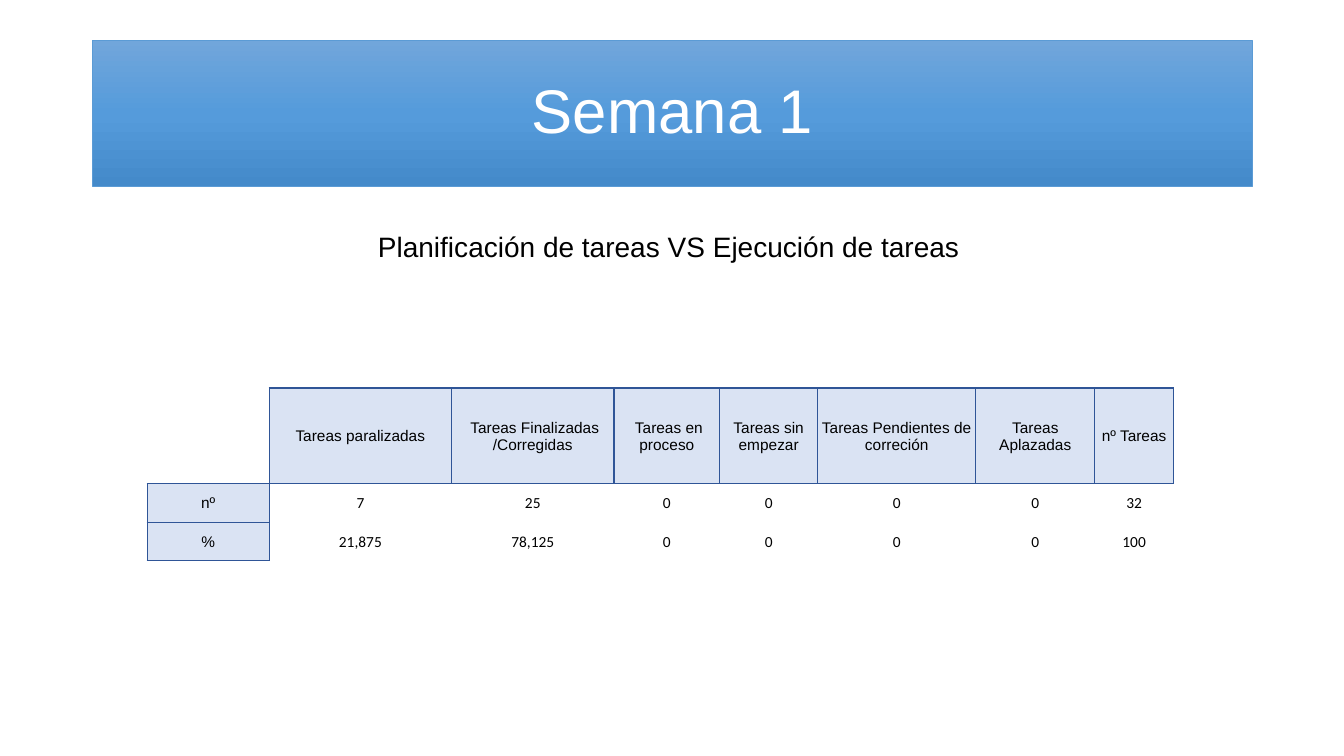
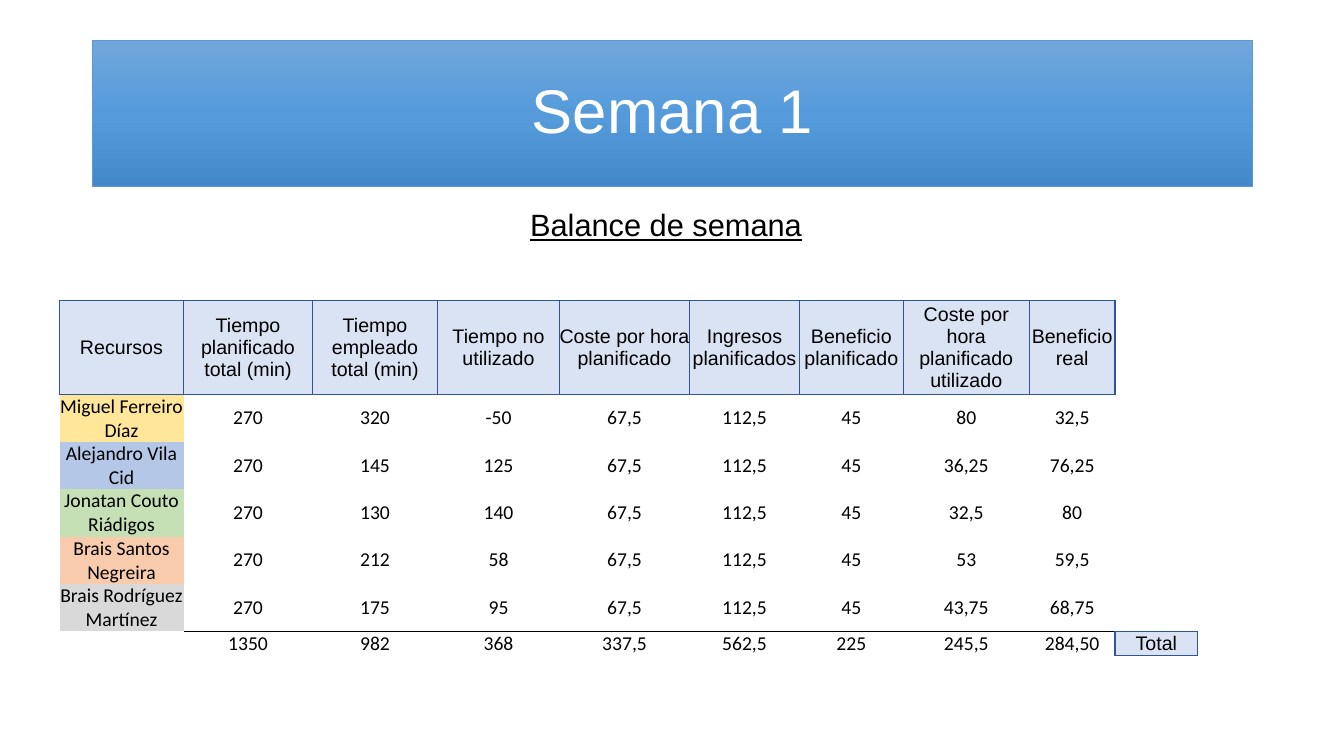
import copy

import pptx
import pptx.util
import pptx.dml.color
import pptx.enum.shapes
import pptx.enum.text
import pptx.oxml.ns
from lxml import etree

Inches, Pt = pptx.util.Inches, pptx.util.Pt
RGBColor = pptx.dml.color.RGBColor
qn = pptx.oxml.ns.qn
MIDDLE = pptx.enum.text.MSO_ANCHOR.MIDDLE
CENTER = pptx.enum.text.PP_ALIGN.CENTER

# Shared look
WHITE = RGBColor(0xFF, 0xFF, 0xFF)
BLACK = RGBColor(0x00, 0x00, 0x00)
BAND_LINE = RGBColor(0x5B, 0x9B, 0xD5)
BAND_STOPS = [
    (0, RGBColor(0x71, 0xA6, 0xDB)),
    (0.5, RGBColor(0x55, 0x9B, 0xDB)),
    (1, RGBColor(0x44, 0x8A, 0xCA)),
]
LABEL_FILL = RGBColor(0xDA, 0xE3, 0xF3)
LABEL_LINE = RGBColor(0x2F, 0x55, 0x97)
YELLOW = RGBColor(0xFF, 0xE6, 0x99)
BLUE = RGBColor(0xB4, 0xC7, 0xE7)
GREEN = RGBColor(0xC5, 0xE0, 0xB4)
ORANGE = RGBColor(0xF8, 0xCB, 0xAD)
GRAY = RGBColor(0xD9, 0xD9, 0xD9)
LABEL_FONT, VALUE_FONT = "Arial", "Calibri"

# Content: "labels" are the outlined cells, "fills" the other coloured ones,
# and "total_row" has a thin rule above its values
TITLE = "Semana 1"

TASKS = {
    "subtitle": "Planificación de tareas VS Ejecución de tareas",
    "subtitle_box": (3.65, 2.23, 6.04, 0.44),
    "subtitle_size": 20,
    "underline": False,
    "origin": (1.46, 3.85),
    "columns": [1.21, 1.81, 1.61, 1.05, 0.97, 1.57, 1.18, 0.78],
    "rows": [0.95, 0.38, 0.38],
    "size": 11,
    "inset": 0.01,
    "cells": [
        ["", "Tareas paralizadas", " Tareas Finalizadas /Corregidas",
         " Tareas en proceso", "Tareas sin empezar",
         "Tareas Pendientes de correción", "Tareas Aplazadas", "nº Tareas"],
        ["nº", "7", "25", "0", "0", "0", "0", "32"],
        ["%", "21,875", "78,125", "0", "0", "0", "0", "100"],
    ],
    "labels": {(0, column) for column in range(1, 8)} | {(1, 0), (2, 0)},
    "fills": {},
    "total_row": None,
}

BALANCE = {
    "subtitle": "Balance de semana",
    "subtitle_box": (5.16, 1.99, 2.93, 0.47),
    "subtitle_size": 22,
    "underline": True,
    "origin": (0.59, 2.98),
    "columns": [1.23, 1.28, 1.24, 1.21, 1.29, 1.09, 1.03, 1.25, 0.85, 0.82],
    "rows": [0.93] + [0.47] * 5 + [0.24],
    "size": 14,
    "inset": 0,
    "cells": [
        ["Recursos", "Tiempo planificado total (min)",
         "Tiempo empleado total (min)", "Tiempo no utilizado",
         "Coste por hora planificado", "Ingresos planificados",
         "Beneficio planificado", "Coste por hora planificado utilizado",
         "Beneficio real", ""],
        ["Miguel Ferreiro Díaz", "270", "320", "-50", "67,5", "112,5", "45",
         "80", "32,5", ""],
        ["Alejandro Vila Cid", "270", "145", "125", "67,5", "112,5", "45",
         "36,25", "76,25", ""],
        ["Jonatan Couto Riádigos", "270", "130", "140", "67,5", "112,5", "45",
         "32,5", "80", ""],
        ["Brais Santos Negreira", "270", "212", "58", "67,5", "112,5", "45",
         "53", "59,5", ""],
        ["Brais Rodríguez Martínez", "270", "175", "95", "67,5", "112,5", "45",
         "43,75", "68,75", ""],
        ["", "1350", "982", "368", "337,5", "562,5", "225", "245,5", "284,50",
         "Total"],
    ],
    "labels": {(0, column) for column in range(9)} | {(6, 9)},
    "fills": {(1, 0): YELLOW, (2, 0): BLUE, (3, 0): GREEN, (4, 0): ORANGE,
              (5, 0): GRAY},
    "total_row": 6,
}

# Cell sides in schema order, with the step to the neighbouring cell
SIDES = [("a:lnL", 0, -1), ("a:lnR", 0, 1), ("a:lnT", -1, 0), ("a:lnB", 1, 0)]


def style_font(font, name, size, color):
    font.name = name
    font.size = Pt(size)
    font.color.rgb = color


def add_title_band(slide):
    band = slide.shapes.add_shape(
        pptx.enum.shapes.MSO_SHAPE.RECTANGLE,
        Inches(0.92), Inches(0.4), Inches(11.5), Inches(1.45))
    band.shadow.inherit = False
    band.line.color.rgb = BAND_LINE
    band.line.width = Pt(0.5)
    band.fill.gradient()
    band.fill.gradient_angle = 270
    stop_list = next(band._element.iter(qn("a:gsLst")))
    stop_list.insert(1, copy.deepcopy(stop_list[0]))
    for stop, (position, color) in zip(band.fill.gradient_stops, BAND_STOPS):
        stop.position = position
        stop.color.rgb = color
    band.text_frame.vertical_anchor = MIDDLE
    paragraph = band.text_frame.paragraphs[0]
    paragraph.text = TITLE
    paragraph.alignment = CENTER
    paragraph.line_spacing = 0.9
    style_font(paragraph.font, LABEL_FONT, 44, WHITE)


def add_subtitle(slide, content):
    box = slide.shapes.add_textbox(*map(Inches, content["subtitle_box"]))
    box.text_frame.word_wrap = True
    paragraph = box.text_frame.paragraphs[0]
    paragraph.text = content["subtitle"]
    style_font(paragraph.font, LABEL_FONT, content["subtitle_size"], BLACK)
    paragraph.font.underline = content["underline"]


def edge_style(content, here, neighbour):
    """Colour and width of the edge between two cells, or None."""
    if {here, neighbour} & content["labels"]:
        return LABEL_LINE, 1
    total_row = content["total_row"]
    if (total_row and max(here[0], neighbour[0]) == total_row
            and here[0] != neighbour[0] and here[1] > 0
            and total_row < len(content["rows"])
            and neighbour[0] < len(content["rows"])):
        return BLACK, 0.5
    return None


def draw_borders(cell, content, row, column):
    properties = cell._tc.get_or_add_tcPr()
    for index, (tag, row_step, column_step) in enumerate(SIDES):
        line = etree.Element(qn(tag))
        style = edge_style(content, (row, column),
                           (row + row_step, column + column_step))
        if style:
            color, width = style
            line.set("w", str(Pt(width)))
            fill = etree.SubElement(line, qn("a:solidFill"))
            etree.SubElement(fill, qn("a:srgbClr"), val=str(color))
        else:
            etree.SubElement(line, qn("a:noFill"))
        properties.insert(index, line)


def fill_cell(cell, content, row, column):
    position = (row, column)
    is_label = position in content["labels"]
    color = LABEL_FILL if is_label else content["fills"].get(position)
    if color is None:
        cell.fill.background()
    else:
        cell.fill.solid()
        cell.fill.fore_color.rgb = color
    inset = Inches(content["inset"])
    cell.margin_left = cell.margin_right = cell.margin_top = inset
    cell.margin_bottom = 0
    cell.vertical_anchor = MIDDLE
    paragraph = cell.text_frame.paragraphs[0]
    paragraph.text = content["cells"][row][column]
    paragraph.alignment = CENTER
    style_font(paragraph.font, LABEL_FONT if is_label else VALUE_FONT,
               content["size"], BLACK)
    if not paragraph.text:
        # Keeps an empty cell from stretching its row
        etree.SubElement(paragraph._p, qn("a:endParaRPr"),
                         sz=str(content["size"] * 100))
    draw_borders(cell, content, row, column)


def add_content_table(slide, content):
    columns, rows = content["columns"], content["rows"]
    left, top = content["origin"]
    table = slide.shapes.add_table(
        len(rows), len(columns), Inches(left), Inches(top),
        Inches(sum(columns)), Inches(sum(rows))).table
    table.first_row = table.horz_banding = False
    for column, width in zip(table.columns, columns):
        column.width = Inches(width)
    for row, height in zip(table.rows, rows):
        row.height = Inches(height)
    for row in range(len(rows)):
        for column in range(len(columns)):
            fill_cell(table.cell(row, column), content, row, column)


def main():
    presentation = pptx.Presentation()
    presentation.slide_width = Inches(13.33)
    presentation.slide_height = Inches(7.5)
    for content in (TASKS, BALANCE):
        slide = presentation.slides.add_slide(presentation.slide_layouts[6])
        add_title_band(slide)
        add_subtitle(slide, content)
        add_content_table(slide, content)
    presentation.save("out.pptx")


if __name__ == "__main__":
    main()
